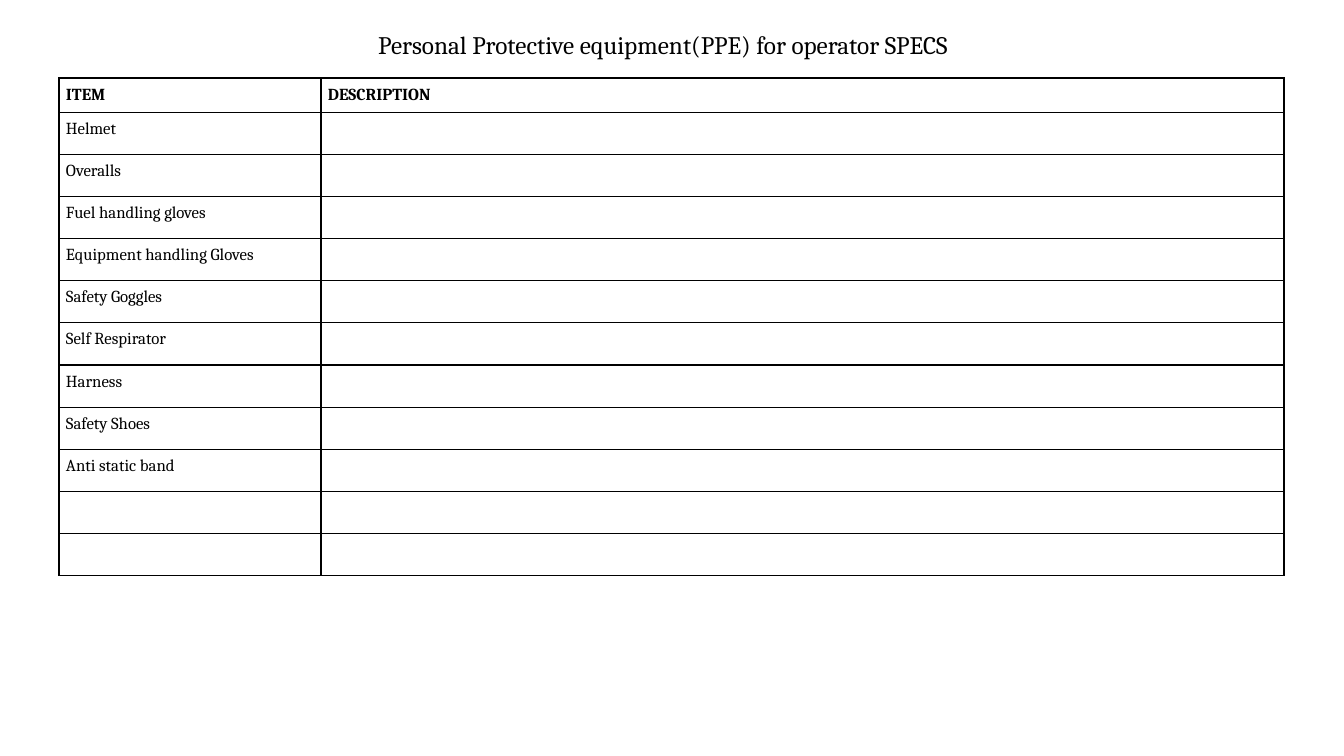
import lxml.etree
import pptx
import pptx.dml.color
import pptx.enum.text
import pptx.oxml.ns
import pptx.util

EMU_PER_PX = 914400 / 100.8
FONT = "Cambria"
BLACK = "000000"
HEADINGS = ["ITEM", "DESCRIPTION"]
ITEMS = [
    "Helmet", "Overalls", "Fuel handling gloves", "Equipment handling Gloves",
    "Safety Goggles", "Self Respirator", "Harness", "Safety Shoes",
    "Anti static band", "", "",
]


def px(length):
    return pptx.util.Emu(round(length * EMU_PER_PX))


def color(hex_code):
    return pptx.dml.color.RGBColor.from_string(hex_code)


def style_paragraph(paragraph, size, bold=False):
    paragraph.font.name = FONT
    paragraph.font.size = pptx.util.Pt(size)
    paragraph.font.bold = bold
    paragraph.font.color.rgb = color(BLACK)


def add_title(slide, left, top, width, height):
    shape = slide.shapes.add_textbox(px(left), px(top), px(width), px(height))
    frame = shape.text_frame
    frame.word_wrap = True
    frame.margin_left = frame.margin_right = px(10)
    frame.margin_top = frame.margin_bottom = px(10)
    paragraph = frame.paragraphs[0]
    paragraph.text = "Personal Protective equipment(PPE) for operator SPECS"
    paragraph.alignment = pptx.enum.text.PP_ALIGN.CENTER
    style_paragraph(paragraph, 18)


def add_borders(cell, width_points):
    properties = cell._tc.get_or_add_tcPr()
    qn = pptx.oxml.ns.qn
    for side in ("a:lnL", "a:lnR", "a:lnT", "a:lnB"):
        line = lxml.etree.SubElement(
            properties, qn(side), w=str(pptx.util.Pt(width_points)))
        fill = lxml.etree.SubElement(line, qn("a:solidFill"))
        lxml.etree.SubElement(fill, qn("a:srgbClr"), val=BLACK)


def fill_cell(cell, text, bold):
    add_borders(cell, 1)
    cell.fill.background()
    cell.margin_left = cell.margin_right = px(7)
    # Empty cells need no vertical margin, so the row height alone rules.
    cell.margin_top = cell.margin_bottom = px(7 if text else 0)
    if text:
        paragraph = cell.text_frame.paragraphs[0]
        paragraph.text = text
        style_paragraph(paragraph, 12, bold)


def add_equipment_table(slide, left, top, width, height):
    header_height, item_width = 34, 262
    rows = [HEADINGS] + [[item, ""] for item in ITEMS]
    shape = slide.shapes.add_table(
        len(rows), len(HEADINGS), px(left), px(top), px(width), px(height))
    table = shape.table
    table.first_row = table.horz_banding = False
    table.columns[0].width = px(item_width)
    table.columns[1].width = px(width - item_width)
    item_height = (height - header_height) / len(ITEMS)
    for index, texts in enumerate(rows):
        is_header = index == 0
        table.rows[index].height = px(header_height if is_header else item_height)
        for cell, text in zip(table.rows[index].cells, texts):
            fill_cell(cell, text, is_header)


def main():
    presentation = pptx.Presentation()
    presentation.slide_width = px(1344)
    presentation.slide_height = px(756)
    slide = presentation.slides.add_slide(presentation.slide_layouts[6])
    add_title(slide, 76, 19, 1174, 60)
    add_equipment_table(slide, 59, 78, 1225, 498)
    presentation.save("out.pptx")


if __name__ == "__main__":
    main()
